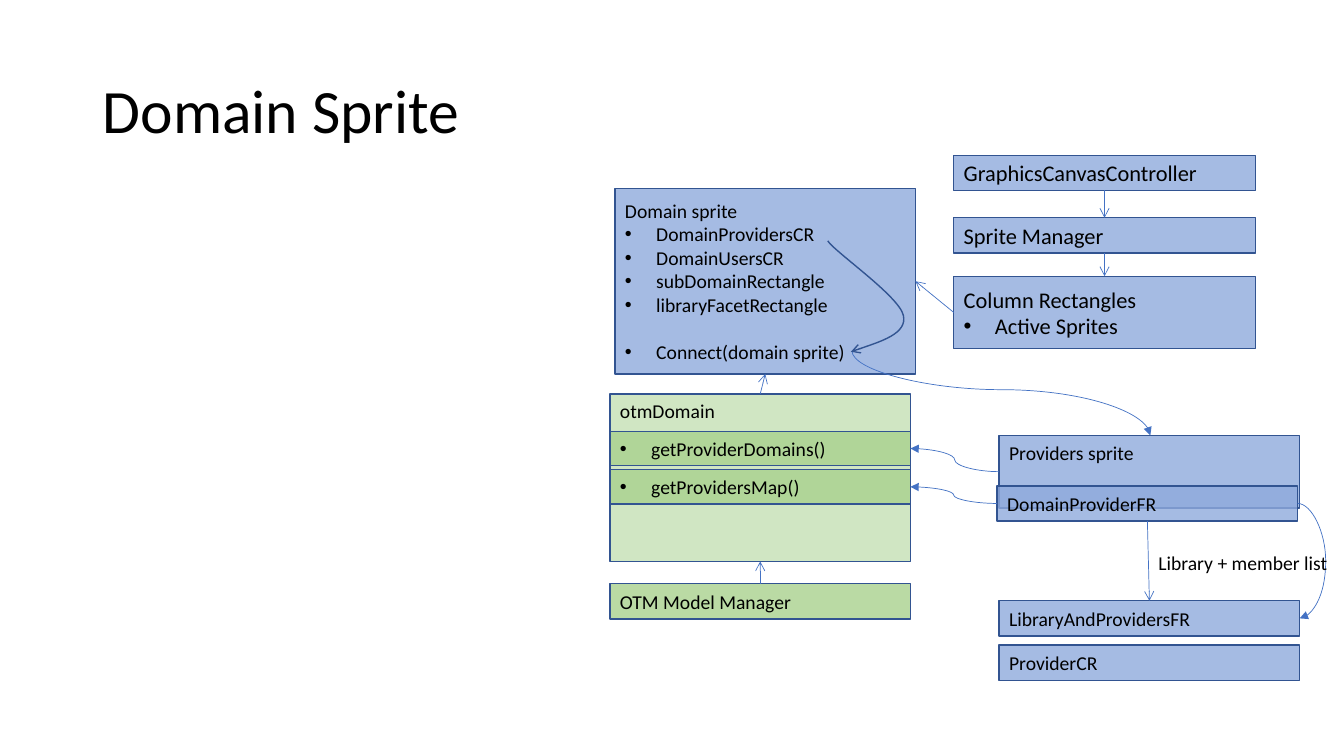
import pptx
import pptx.dml.color
import pptx.enum.shapes
import pptx.enum.text
import pptx.oxml
import pptx.oxml.ns
import pptx.util
from lxml import etree
from pptx.util import Inches

qn = pptx.oxml.ns.qn
ANCHOR = pptx.enum.text.MSO_ANCHOR
CONNECTOR = pptx.enum.shapes.MSO_CONNECTOR
BLUE, PALE_GREEN, GREEN = "8FAADC", "C5E0B4", "A9D18E"
OUTLINE, ARROW_BLUE, BLACK = "325491", "4472C4", "000000"
TOP, LEFT, BOTTOM, RIGHT = range(4)
BOX_W, BAR_H = 2.98, 0.35
SPRITE_X, DOMAIN_X, PROVIDER_X = 9.46, 6.05, 9.91

# name: left, top, width, height, fill, text size, anchor, lines
BOXES = {
    "domain": (6.1, 1.87, BOX_W, 1.84, BLUE, 14, ANCHOR.MIDDLE,
               ["Domain sprite", "• DomainProvidersCR", "• DomainUsersCR",
                "• subDomainRectangle", "• libraryFacetRectangle",
                "• Connect(domain sprite)"]),
    "canvas": (SPRITE_X, 1.54, 2.99, BAR_H, BLUE, 16, ANCHOR.MIDDLE,
               ["GraphicsCanvasController"]),
    "manager": (SPRITE_X, 2.16, 2.99, BAR_H, BLUE, 16, ANCHOR.MIDDLE,
                ["Sprite Manager"]),
    "columns": (SPRITE_X, 2.74, 2.99, 0.72, BLUE, 16, ANCHOR.MIDDLE,
                ["Column Rectangles", "• Active Sprites"]),
    "providers": (PROVIDER_X, 4.32, BOX_W, 0.72, BLUE, 14, ANCHOR.TOP,
                  ["Providers sprite"]),
    "library": (PROVIDER_X, 5.96, BOX_W, BAR_H, BLUE, 14, ANCHOR.MIDDLE,
                ["LibraryAndProvidersFR"]),
    "provider_cr": (PROVIDER_X, 6.4, BOX_W, BAR_H, BLUE, 14, ANCHOR.MIDDLE,
                    ["ProviderCR"]),
    "otm_domain": (DOMAIN_X, 3.91, BOX_W, 1.66, PALE_GREEN, 14, ANCHOR.TOP,
                   ["otmDomain"]),
    "get_domains": (DOMAIN_X, 4.28, BOX_W, 0.34, GREEN, 14, ANCHOR.MIDDLE,
                    ["• getProviderDomains()"]),
    "domain_fr": (9.89, 4.82, BOX_W, BAR_H, BLUE, 14, ANCHOR.MIDDLE,
                  ["DomainProviderFR"]),
    "get_map": (DOMAIN_X, 4.66, BOX_W, 0.34, GREEN, 14, ANCHOR.MIDDLE,
                ["• getProvidersMap()"]),
    "model": (DOMAIN_X, 5.79, BOX_W, BAR_H, GREEN, 14, ANCHOR.MIDDLE,
              ["OTM Model Manager"]),
}
STRAIGHT_ARROWS = [
    ("canvas", BOTTOM, "manager", TOP),
    ("manager", BOTTOM, "columns", TOP),
    ("columns", LEFT, "domain", RIGHT),
    ("domain_fr", BOTTOM, "library", TOP),
    ("otm_domain", TOP, "domain", BOTTOM),
    ("model", TOP, "otm_domain", BOTTOM),
]
# the last value is the bend, as a share of the width
CURVED_ARROWS = [
    ("providers", LEFT, "get_domains", RIGHT, 0.5),
    ("domain_fr", LEFT, "get_map", RIGHT, 0.5),
    ("domain_fr", RIGHT, "library", RIGHT, 13.88),
]


def color(hex_string):
    return pptx.dml.color.RGBColor.from_string(hex_string)


def apply_format(target, values):
    for name, value in values.items():
        setattr(target, name, value)


def add_bullet(paragraph):
    properties = paragraph._p.get_or_add_pPr()
    properties.set("marL", str(Inches(0.31)))
    properties.set("indent", str(-Inches(0.31)))
    etree.SubElement(properties, qn("a:buFont"), typeface="Arial")
    etree.SubElement(properties, qn("a:buChar"), char="•")


def write_lines(frame, lines, size, **frame_format):
    """Write one paragraph per line; a leading bullet sign makes a list item."""
    apply_format(frame, frame_format)
    for number, line in enumerate(lines):
        paragraph = frame.paragraphs[0] if number == 0 else frame.add_paragraph()
        paragraph.alignment = pptx.enum.text.PP_ALIGN.LEFT
        if line.startswith("• "):
            add_bullet(paragraph)
        paragraph.add_run().text = line.removeprefix("• ")
        apply_format(paragraph.font, {"size": pptx.util.Pt(size), "name": "Calibri"})
        paragraph.font.color.rgb = color(BLACK)


def add_text(slide, place, text, size, **frame_format):
    frame = slide.shapes.add_textbox(*map(Inches, place)).text_frame
    write_lines(frame, [text], size, **frame_format)
    return frame


def add_box(slide, left, top, width, height, fill, size, anchor, lines):
    box = slide.shapes.add_shape(pptx.enum.shapes.MSO_SHAPE.RECTANGLE,
                                 *map(Inches, (left, top, width, height)))
    box.shadow.inherit = False
    box.fill.solid()
    box.fill.fore_color.rgb = color(fill)
    fill_color = box.fill._xPr.find(qn("a:solidFill"))[0]
    etree.SubElement(fill_color, qn("a:alpha"), val="80000")
    style_line(box.line, OUTLINE, 1)
    write_lines(box.text_frame, lines, size, vertical_anchor=anchor, word_wrap=True)
    return box


def style_line(line, hex_string, width):
    line.color.rgb = color(hex_string)
    line.width = pptx.util.Pt(width)


def add_arrowhead(line, end, kind):
    etree.SubElement(line._get_or_add_ln(), qn(f"a:{end}"), type=kind)


def add_arrow(slide, kind, head, begin=(0, 0), end=(0, 0)):
    arrow = slide.shapes.add_connector(kind, *map(Inches, (*begin, *end)))
    style_line(arrow.line, ARROW_BLUE, 0.5)
    add_arrowhead(arrow.line, "tailEnd", head)
    etree.SubElement(arrow._element.spPr, qn("a:effectLst"))
    return arrow


def join(arrow, start, start_side, finish, finish_side):
    arrow.begin_connect(start, start_side)
    arrow.end_connect(finish, finish_side)


def set_bend(arrow, share):
    guides = arrow._element.spPr.find(qn("a:prstGeom")).get_or_add_avLst()
    etree.SubElement(guides, qn("a:gd"), name="adj1",
                     fmla=f"val {round(share * 100000)}")


def add_call_curve(slide):
    """Draw the curve from DomainProvidersCR round to Connect(domain sprite)."""
    start, *controls = [(8.44, 3.49), (8.67, 3.41), (9, 3.31), (8.96, 3.13),
                        (8.92, 2.94), (8.28, 2.5), (8.21, 2.39)]
    builder = slide.shapes.build_freeform(*map(Inches, start), scale=1.0)
    builder.add_line_segments([tuple(map(Inches, point)) for point in controls],
                              close=False)
    curve = builder.convert_to_shape()
    segments = list(curve._element.iter(qn("a:lnTo")))
    outline = segments[0].getparent()
    for first in range(0, len(segments), 3):
        bezier = etree.SubElement(outline, qn("a:cubicBezTo"))
        for segment in segments[first:first + 3]:
            bezier.append(segment[0])
            outline.remove(segment)
    curve.shadow.inherit = False
    curve.fill.background()
    style_line(curve.line, OUTLINE, 1)
    add_arrowhead(curve.line, "headEnd", "arrow")


def main():
    deck = pptx.Presentation()
    apply_format(deck, {"slide_width": Inches(13.33), "slide_height": Inches(7.5)})
    slide = deck.slides.add_slide(deck.slide_layouts[6])

    title = add_text(slide, (0.92, 0.4, 11.5, 1.45), "Domain Sprite", 44,
                     word_wrap=True, vertical_anchor=ANCHOR.MIDDLE)
    title.paragraphs[0].line_spacing = 0.9

    boxes = {name: add_box(slide, *values) for name, values in BOXES.items()}
    connect_item = boxes["domain"].text_frame.paragraphs[-1]
    connect_item.space_before = pptx.util.Pt(17)

    for start, start_side, finish, finish_side in STRAIGHT_ARROWS:
        arrow = add_arrow(slide, CONNECTOR.STRAIGHT, "arrow")
        join(arrow, boxes[start], start_side, boxes[finish], finish_side)
    for start, start_side, finish, finish_side, bend in CURVED_ARROWS:
        arrow = add_arrow(slide, CONNECTOR.CURVE, "triangle")
        join(arrow, boxes[start], start_side, boxes[finish], finish_side)
        set_bend(arrow, bend)

    # a quarter turn makes this curve leave and arrive vertically
    providers_arrow = add_arrow(slide, CONNECTOR.CURVE, "triangle",
                                (10.35, 2.42), (9.51, 5.38))
    providers_arrow._element.spPr.find(qn("a:xfrm")).set("rot", str(270 * 60000))
    set_bend(providers_arrow, 0.46)

    add_call_curve(slide)
    add_text(slide, (11.39, 5.42, 1.89, 0.34), "Library + member list", 14,
             word_wrap=False)
    deck.save("out.pptx")


if __name__ == "__main__":
    main()
